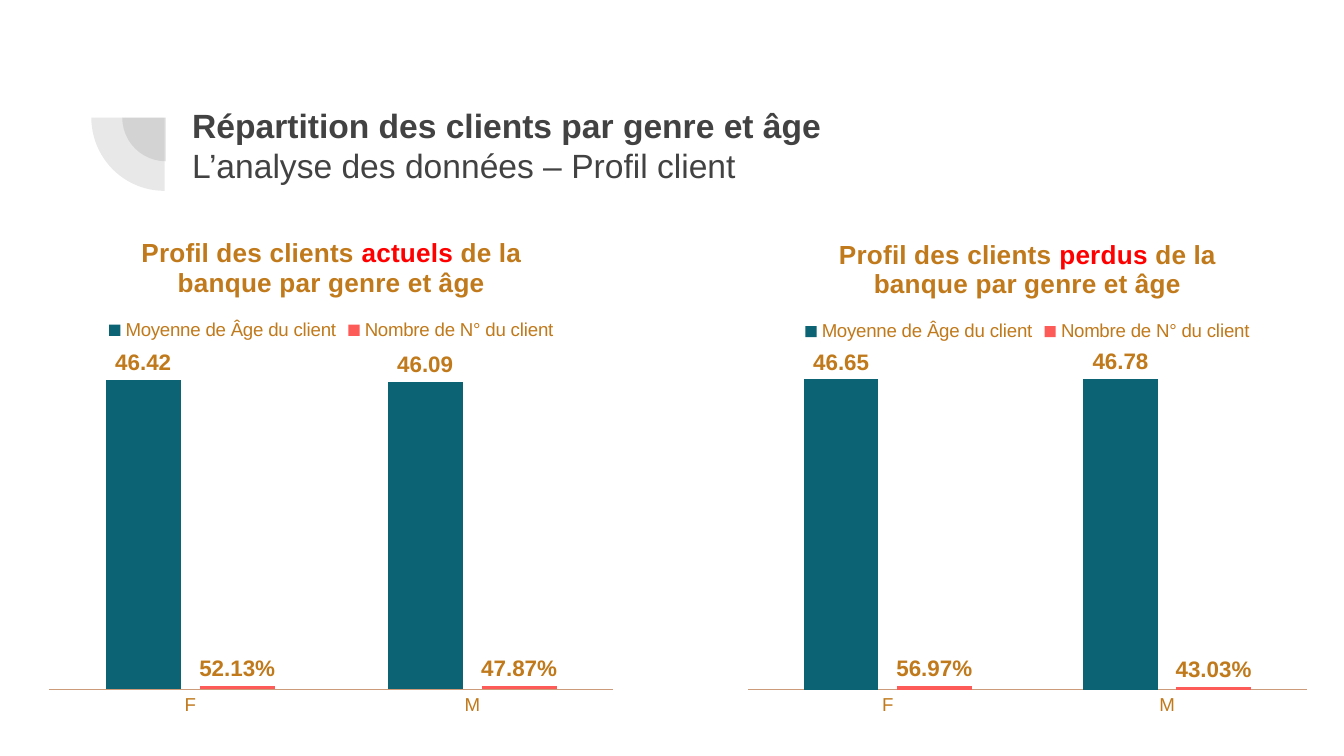
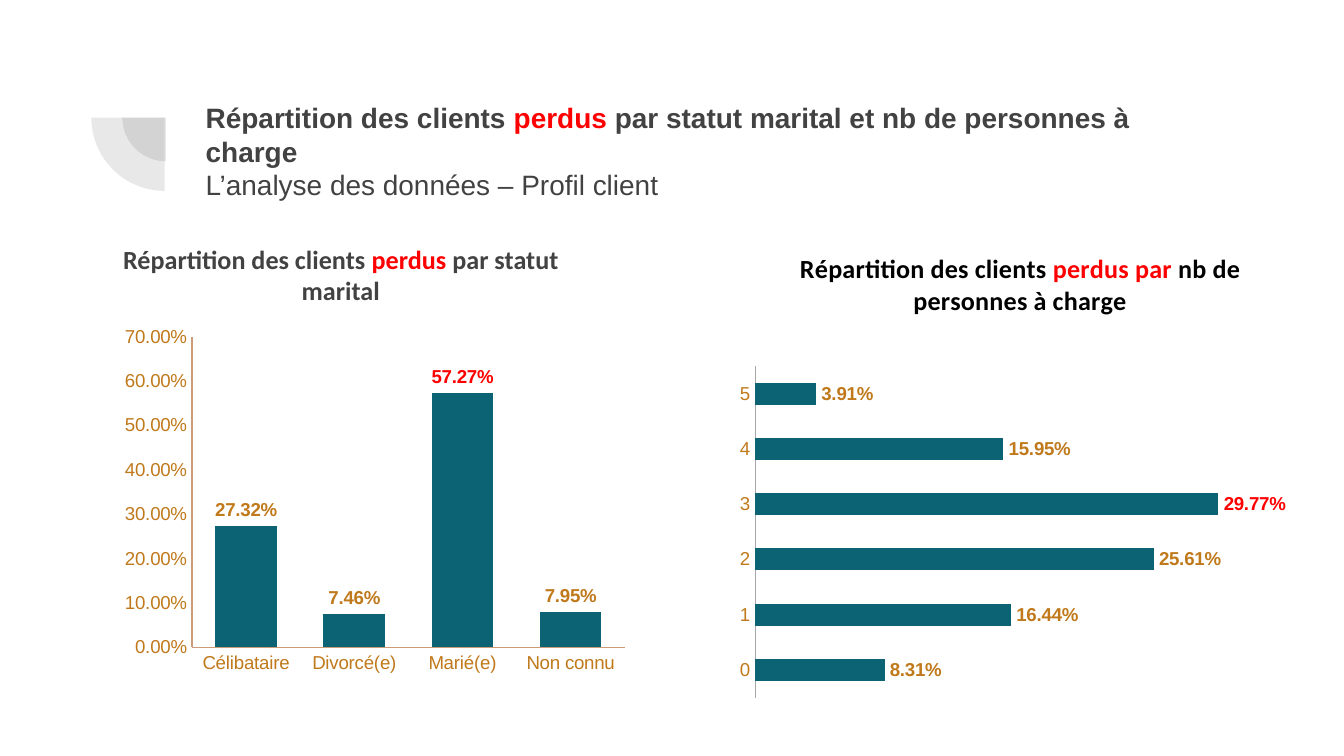
from lxml import etree
from pptx import Presentation
from pptx.chart.data import CategoryChartData
from pptx.dml.color import RGBColor
from pptx.enum import chart as chart_enum, shapes, text
from pptx.oxml.ns import qn
from pptx.util import Inches, Pt

GREY, GOLD, RED, BLACK = "424242", "C0791B", "FF0000", "000000"
TEAL, CORAL, AXIS_BROWN, AXIS_GREY = "0B6374", "FD5B58", "CC9B7A", "A6A6A6"
FONT, HEADING_FONT = "Arial", "Calibri"
COLUMN = chart_enum.XL_CHART_TYPE.COLUMN_CLUSTERED
BAR = chart_enum.XL_CHART_TYPE.BAR_CLUSTERED
SUBTITLE = "L’analyse des données – Profil client"


def gender_chart(group, box, ages, shares):
    """Describe one chart of the average age and client share by gender."""
    return {
        "type": COLUMN, "box": box, "plot": (0.02, 0.276, 0.96, 0.651),
        "title": [("Profil des clients ", GOLD), (group, RED),
                  (" de la banque par genre et âge", GOLD)],
        "title_font": FONT, "categories": ["F", "M"],
        "series": [("Moyenne de Âge du client", ages, TEAL, "0.00"),
                   ("Nombre de N° du client", shares, CORAL, "0.00%")],
        "gap": 150, "overlap": -25, "maximum": 50, "label_size": 12,
        "legend": True, "axis_color": AXIS_BROWN,
    }


SLIDES = [
    {
        "title": [("Répartition des clients par genre et âge", GREY)],
        "title_box": (1.33, 0.68, 7.69, 0.86), "title_size": 18,
        "charts": [
            gender_chart("perdus", (5.48, 1.61, 4.33, 3.8),
                         (46.65, 46.78), (0.5697, 0.4303)),
            gender_chart("actuels", (0.28, 1.6, 4.37, 3.81),
                         (46.42, 46.09), (0.5213, 0.4787)),
        ],
    },
    {
        "title": [("Répartition des clients ", GREY), ("perdus", RED),
                  (" par statut marital et nb de personnes à charge", GREY)],
        "title_box": (1.43, 0.65, 7.69, 0.98), "title_size": 15,
        "heading": [("Répartition des clients ", GREY), ("perdus", RED),
                    (" par statut marital", GREY)],
        "heading_box": (0.59, 1.71, 3.89, 0.56),
        "charts": [
            {
                "type": BAR, "box": (5.42, 1.71, 4.34, 3.56),
                "plot": (0.046, 0.285, 0.934, 0.693),
                "title": [("Répartition des clients ", BLACK), ("perdus par", RED),
                          (" nb de personnes à charge", BLACK)],
                "title_font": HEADING_FONT, "categories": list("012345"),
                "series": [("Series 1",
                            (0.0831, 0.1644, 0.2561, 0.2977, 0.1595, 0.0391),
                            TEAL, "0.00%")],
                "gap": 150, "maximum": 0.35, "axis_color": AXIS_GREY,
                "red_point": 3,
            },
            {
                "type": COLUMN, "box": (0.41, 2.37, 4.43, 3.1),
                "plot": (0.23, 0.044, 0.727, 0.746),
                "categories": ["Célibataire", "Divorcé(e)", "Marié(e)", "Non connu"],
                "series": [("Series 1", (0.2732, 0.0746, 0.5727, 0.0795),
                            TEAL, "0.00%")],
                "gap": 75, "maximum": 0.7, "axis_color": AXIS_BROWN,
                "red_point": 2, "value_axis": True,
            },
        ],
    },
]


def rgb(color):
    return RGBColor.from_string(color)


def inches(box):
    return [Inches(length) for length in box]


def style_font(font, size, color, name=FONT, bold=True):
    font.size, font.name, font.bold = Pt(size), name, bold
    font.color.rgb = rgb(color)


def add_runs(paragraph, runs, size, name=FONT, bold=True):
    for words, color in runs:
        run = paragraph.add_run()
        run.text = words
        style_font(run.font, size, color, name, bold)


def set_frame(frame):
    frame.word_wrap = True
    frame.auto_size = text.MSO_AUTO_SIZE.NONE
    frame.vertical_anchor = text.MSO_ANCHOR.TOP
    frame.margin_left = frame.margin_right = Inches(0.1)
    frame.margin_top = frame.margin_bottom = Inches(0.1)


def add_quarter_discs(slide):
    """Draw the two translucent quarter discs beside the title."""
    for left, top, size in ((0.91, 0.55, 0.65), (0.68, 0.33, 1.09)):
        disc = slide.shapes.add_shape(shapes.MSO_SHAPE.PIE,
                                      *inches((left, top, size, size)))
        disc.adjustments[0], disc.adjustments[1] = 108, 162
        disc.rotation = 270
        disc.shadow.inherit = False
        disc.line.fill.background()
        disc.fill.solid()
        disc.fill.fore_color.rgb = rgb(GREY)
        for color in disc.element.spPr.iter(qn("a:srgbClr")):
            etree.SubElement(color, qn("a:alpha"), val="12000")


def add_title(slide, content):
    title = slide.shapes.title
    title.left, title.top, title.width, title.height = inches(content["title_box"])
    set_frame(title.text_frame)
    paragraph = title.text_frame.paragraphs[0]
    paragraph.alignment = text.PP_ALIGN.LEFT
    add_runs(paragraph, content["title"], content["title_size"])
    paragraph.add_line_break()
    add_runs(paragraph, [(SUBTITLE, GREY)], content["title_size"], bold=False)


def add_heading(slide, runs, box):
    heading = slide.shapes.add_textbox(*inches(box))
    set_frame(heading.text_frame)
    paragraph = heading.text_frame.paragraphs[0]
    paragraph.alignment = text.PP_ALIGN.CENTER
    add_runs(paragraph, runs, 14, HEADING_FONT)


def place_plot(chart, box):
    """Fix the inner plot area, as fractions of the chart."""
    plot_area = next(chart.element.iter(qn("c:plotArea")))
    for old in plot_area.findall(qn("c:layout")):
        plot_area.remove(old)
    layout = etree.Element(qn("c:layout"))
    manual = etree.SubElement(layout, qn("c:manualLayout"))
    settings = [("layoutTarget", "inner"), ("xMode", "edge"), ("yMode", "edge")]
    for tag, value in settings + list(zip("xywh", box)):
        etree.SubElement(manual, qn(f"c:{tag}"), val=str(value))
    plot_area.insert(0, layout)


def style_axes(chart, content):
    for axis in (chart.category_axis, chart.value_axis):
        axis.has_major_gridlines = False
        axis.major_tick_mark = axis.minor_tick_mark = chart_enum.XL_TICK_MARK.NONE
        axis.format.line.color.rgb = rgb(content["axis_color"])
        axis.format.line.width = Pt(0.75)
    value_axis = chart.value_axis
    value_axis.minimum_scale, value_axis.maximum_scale = 0, content["maximum"]
    value_axis.visible = content.get("value_axis", False)
    value_axis.tick_labels.number_format = content["series"][0][3]
    value_axis.tick_labels.number_format_is_linked = False


def style_series(series, color, number_format, content):
    series.format.fill.solid()
    series.format.fill.fore_color.rgb = rgb(color)
    size = content.get("label_size", 10)
    position = chart_enum.XL_LABEL_POSITION.OUTSIDE_END
    labels = series.data_labels
    labels.show_value = True
    labels.number_format, labels.number_format_is_linked = number_format, False
    labels.position = position
    style_font(labels.font, size, GOLD)
    if "red_point" in content:
        label = series.points[content["red_point"]].data_label
        style_font(label.font, size, RED)
        label.position = position


def add_chart(slide, content):
    data = CategoryChartData()
    data.categories = content["categories"]
    for name, values, _, number_format in content["series"]:
        data.add_series(name, values, number_format)
    chart = slide.shapes.add_chart(content["type"], *inches(content["box"]), data).chart
    style_font(chart.font, 10, GOLD, bold=False)

    chart.has_title = "title" in content
    if chart.has_title:
        paragraph = chart.chart_title.text_frame.paragraphs[0]
        add_runs(paragraph, content["title"], 14, content["title_font"])
    chart.has_legend = content.get("legend", False)
    if chart.has_legend:
        chart.legend.position = chart_enum.XL_LEGEND_POSITION.TOP
        chart.legend.include_in_layout = False

    plot = chart.plots[0]
    plot.vary_by_categories = False
    plot.gap_width, plot.overlap = content["gap"], content.get("overlap", 0)
    for series, (_, _, color, number_format) in zip(plot.series, content["series"]):
        style_series(series, color, number_format, content)
    style_axes(chart, content)
    place_plot(chart, content["plot"])


def main():
    presentation = Presentation()
    presentation.slide_width = Inches(10)
    presentation.slide_height = presentation.slide_width * 9 // 16
    title_only = presentation.slide_layouts[5]
    for content in SLIDES:
        slide = presentation.slides.add_slide(title_only)
        add_quarter_discs(slide)
        for chart in content["charts"]:
            add_chart(slide, chart)
        if "heading" in content:
            add_heading(slide, content["heading"], content["heading_box"])
        add_title(slide, content)
    presentation.save("out.pptx")


if __name__ == "__main__":
    main()
